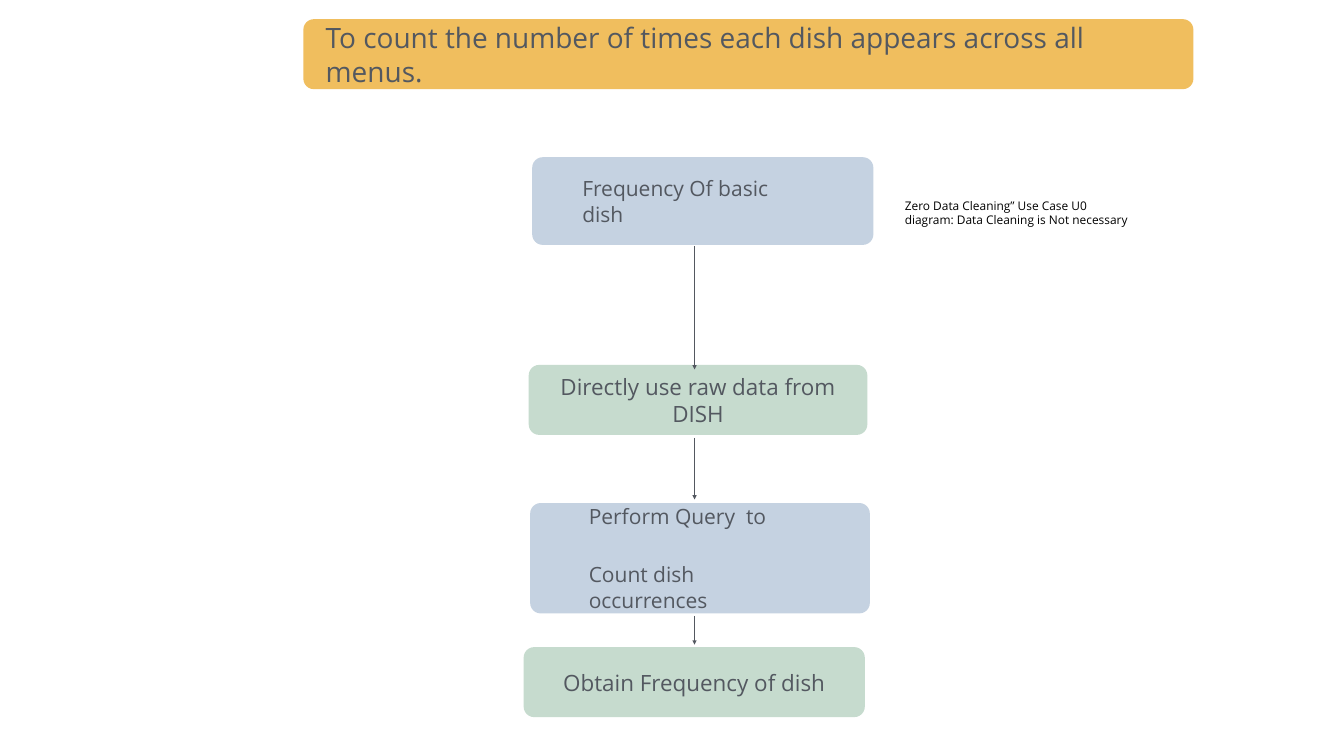
from lxml import etree
from pptx import Presentation
from pptx.dml.color import RGBColor
from pptx.enum.shapes import MSO_CONNECTOR, MSO_SHAPE
from pptx.enum.text import MSO_ANCHOR, PP_ALIGN
from pptx.oxml.ns import qn
from pptx.util import Pt

ROUNDED = MSO_SHAPE.ROUNDED_RECTANGLE
STRAIGHT = MSO_CONNECTOR.STRAIGHT
MIDDLE = MSO_ANCHOR.MIDDLE
LEFT, CENTER = PP_ALIGN.LEFT, PP_ALIGN.CENTER

FONT = "Open Sans"
INSET = 4.5
CORNER = 15
ARROW_X = 992.2
COLORS = {
    "title": "F0BE5E",
    "task": "C5D2E1",
    "step": "C6DBCE",
    "text": "535860",
    "note": "000000",
}


def rgb(name):
    return RGBColor.from_string(COLORS[name])


def write(shape, lines, size, color="text", align=LEFT, before=0):
    tf = shape.text_frame
    tf.word_wrap = True
    tf.vertical_anchor = MIDDLE
    tf.margin_left = tf.margin_right = Pt(INSET)
    tf.margin_top = tf.margin_bottom = Pt(INSET)
    tf.text = lines
    for p in tf.paragraphs:
        p.alignment = align
        p.space_before = Pt(before)
        for r in p.runs:
            r.font.name = FONT
            r.font.size = Pt(size)
            r.font.color.rgb = rgb(color)


def add_box(s, x, y, w, h, fill, label=None):
    sp = s.shapes.add_shape(ROUNDED, Pt(x), Pt(y), Pt(w), Pt(h))
    sp.adjustments[0] = CORNER / h
    sp.shadow.inherit = False
    sp.fill.solid()
    sp.fill.fore_color.rgb = rgb(fill)
    sp.line.fill.background()
    if label:
        write(sp, label, 32, align=CENTER)


def add_text(s, x, y, w, h, lines, size, color="text", before=0):
    sp = s.shapes.add_textbox(Pt(x), Pt(y), Pt(w), Pt(h))
    write(sp, lines, size, color, before=before)


def add_arrow(s, top, bottom):
    line = s.shapes.add_connector(STRAIGHT, Pt(ARROW_X), Pt(top), Pt(ARROW_X), Pt(bottom))
    line.line.color.rgb = rgb("text")
    line.line.width = Pt(2)
    etree.SubElement(line.line._get_or_add_ln(), qn("a:tailEnd"), type="triangle")
    etree.SubElement(line._element.spPr, qn("a:effectLst"))


def main():
    prs = Presentation()
    prs.slide_width, prs.slide_height = Pt(1920), Pt(1080)
    s = prs.slides.add_slide(prs.slide_layouts[6])

    add_box(s, 433.4, 27.4, 1271.5, 100, "title")
    add_box(s, 760.3, 224.6, 487.4, 125.3, "task")
    add_box(s, 755.3, 521.3, 483.8, 100, "step", "Directly use raw data from DISH")
    add_box(s, 757.4, 718.6, 485.3, 157.7, "task")
    add_box(s, 748.1, 924.5, 487.4, 100, "step", "Obtain Frequency of dish")

    add_text(s, 460.8, 47.5, 1217.5, 60.5,
             "To count the number of times each dish appears across all menus.", 40, before=47)
    add_text(s, 827.3, 263.5, 339.1, 47.5, "Frequency Of basic dish", 30, before=47)
    add_text(s, 836.6, 730.1, 334.8, 134.6,
             "Perform Query  to\nCount dish occurrences", 30, before=47)

    for top, bottom in ((351.4, 527.8), (625.7, 713.5), (879.8, 920.9)):
        add_arrow(s, top, bottom)

    add_text(s, 1288.1, 265.7, 329, 77,
             "Zero Data Cleaning” Use Case U0 diagram: Data Cleaning is Not necessary", 17, "note")

    prs.save("out.pptx")


if __name__ == "__main__":
    main()
